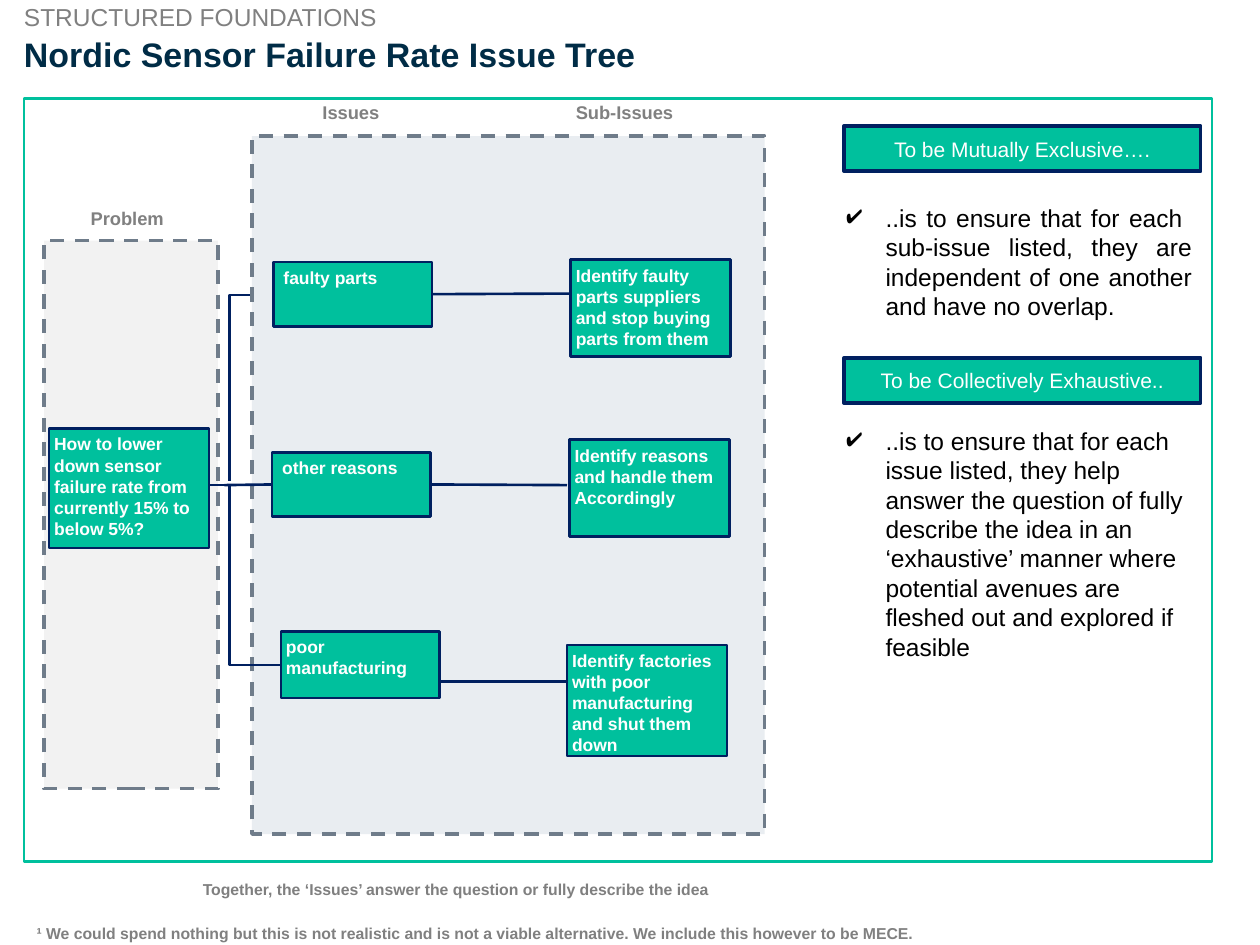
from lxml import etree
from pptx import Presentation
from pptx.dml.color import RGBColor
from pptx.enum import dml, shapes, text
from pptx.oxml import ns
from pptx.util import Inches, Pt

COLORS = {
    "white": "FFFFFF", "black": "000000", "teal": "00C09D", "navy": "002060",
    "title": "002C46", "gray": "808080", "note": "7F7F7F", "dash": "6F7C8A",
    "problem": "F2F2F2", "issues": "E9EDF1",
}
ALIGN = text.PP_ALIGN


def color(name):
    return RGBColor.from_string(COLORS[name])


def write(shape, words, size, tone, bold=False, align=ALIGN.LEFT,
          anchor=text.MSO_ANCHOR.TOP, insets=(0, 0, 0, 0), wrap=True):
    frame = shape.text_frame
    frame.text = words
    frame.word_wrap = wrap
    frame.auto_size = text.MSO_AUTO_SIZE.NONE
    frame.vertical_anchor = anchor
    (frame.margin_left, frame.margin_top,
     frame.margin_right, frame.margin_bottom) = map(Inches, insets)
    for paragraph in frame.paragraphs:
        paragraph.alignment = align
        for run in paragraph.runs:
            run.font.name = "Arial"
            run.font.size = Pt(size)
            run.font.bold = bold
            run.font.color.rgb = color(tone)


def add_label(slide, box, words, size, tone="gray", bold=True):
    label = slide.shapes.add_textbox(*map(Inches, box))
    write(label, words, size, tone, bold, wrap=False)


def add_box(slide, box, fill, line, width, dashed=False):
    rect = slide.shapes.add_shape(shapes.MSO_SHAPE.RECTANGLE, *map(Inches, box))
    rect.shadow.inherit = False
    rect.fill.solid()
    rect.fill.fore_color.rgb = color(fill)
    rect.line.color.rgb = color(line)
    rect.line.width = Pt(width)
    if dashed:
        rect.line.dash_style = dml.MSO_LINE.DASH
    return rect


def add_node(slide, box, words, indent=0.04):
    node = add_box(slide, box, "teal", "navy", 1.5)
    write(node, words, 10, "white", True, insets=(indent, 0.04, 0.04, 0.04))
    return node


def add_link(slide, start, end, bent=False):
    kind = shapes.MSO_CONNECTOR.ELBOW if bent else shapes.MSO_CONNECTOR.STRAIGHT
    link = slide.shapes.add_connector(kind, *map(Inches, start + end))
    link.line.color.rgb = color("navy")
    link.line.width = Pt(1.5)
    properties = link._element.spPr
    if bent:  # a single corner
        properties.find(ns.qn("a:prstGeom")).set("prst", "bentConnector2")
    etree.SubElement(properties, ns.qn("a:effectLst"))
    return link


def add_heading(slide, box):
    left, top, width, height = box
    add_label(slide, (left, top, 2.84, 0.24), "STRUCTURED FOUNDATIONS", 14, bold=False)
    title = slide.shapes.title
    title.left, title.top = Inches(left), Inches(top + 0.24)
    title.width, title.height = Inches(width), Inches(height - 0.24)
    write(title, "Nordic Sensor Failure Rate Issue Tree", 19.4, "title", True,
          anchor=text.MSO_ANCHOR.MIDDLE)


def add_issue_tree(slide, box):
    left, top, width, height = box

    def at(x, y, *size):
        return (left + x, top + y, *size)

    # Problem column, with the upper branch behind the issues panel
    trunk = 1.47
    add_box(slide, at(0, 0.83, 1.38, 4.35), "problem", "dash", 2, True)
    add_link(slide, at(1.82, 1.26), at(trunk, 2.74), bent=True)
    add_node(slide, at(0.04, 2.32, 1.27, 0.95),
             "How to lower down sensor failure rate from currently 15% to below 5%?")
    add_label(slide, at(0.37, 0.56, 0.59, 0.18), "Problem", 10.5)

    # Issues and sub-issues panel
    add_box(slide, at(1.65, 0, width - 1.65, height), "issues", "dash", 2, True)
    add_label(slide, at(2.21, -0.28, 0.46, 0.18), "Issues", 10.5)
    add_label(slide, at(4.22, -0.28, 0.79, 0.18), "Sub-Issues", 10.5)
    add_link(slide, at(1.31, 2.77), at(trunk, 2.77))
    add_link(slide, at(1.88, 4.2), at(trunk, 2.77), bent=True)

    # Rows: issue box, issue text, indent, sub-issue box, sub-issue text
    rows = [
        ((1.82, 1.0, 1.26, 0.51), "faulty parts", 0.08, (4.18, 0.98, 1.27, 0.77),
         "Identify faulty parts suppliers and stop buying parts from them"),
        ((1.81, 2.51, 1.26, 0.51), "other reasons", 0.08, (4.17, 2.41, 1.27, 0.77),
         "Identify reasons and handle them\nAccordingly"),
        ((1.88, 3.93, 1.26, 0.53), "poor manufacturing", 0.04, (4.15, 4.04, 1.27, 0.88),
         "Identify factories with poor manufacturing and shut them down"),
    ]
    issues = []
    for issue_box, issue, indent, sub_box, sub_issue in rows:
        issues.append(add_node(slide, at(*issue_box), issue, indent))
        add_node(slide, at(*sub_box), sub_issue)

    # Links from each issue to its sub-issue
    faulty, other, _ = issues
    add_link(slide, at(3.08, 1.25), at(4.18, 1.25)).begin_connect(faulty, 3)
    add_link(slide, at(3.07, 2.77), at(4.15, 2.77)).begin_connect(other, 3)
    add_link(slide, at(3.14, 4.33), at(4.15, 4.33))
    add_link(slide, at(1.43, 2.77), at(1.81, 2.77)).end_connect(other, 1)


def add_principle(slide, box, heading, words, gap, align):
    left, top, width, height = box
    banner = add_box(slide, (left, top, width, 0.36), "teal", "navy", 2)
    write(banner, heading, 12, "white", align=ALIGN.CENTER,
          anchor=text.MSO_ANCHOR.MIDDLE, insets=(0.1, 0.05, 0.1, 0.05))
    body_top = 0.36 + gap
    body = slide.shapes.add_textbox(*map(Inches, (
        left - 0.08, top + body_top, width + 0.11, height - body_top)))
    write(body, words, 14, "black", align=align, insets=(0.1, 0.05, 0.1, 0.05))
    # Check-mark bullet
    properties = body.text_frame.paragraphs[0]._p.get_or_add_pPr()
    properties.set("marL", str(Inches(0.31)))
    properties.set("indent", str(-Inches(0.31)))
    tint = etree.SubElement(properties, ns.qn("a:buClr"))
    etree.SubElement(tint, ns.qn("a:srgbClr")).set("val", COLORS["black"])
    etree.SubElement(properties, ns.qn("a:buChar")).set("char", "✔")


def add_notes(slide):
    add_label(slide, (1.61, 6.98, 4.76, 0.15),
              "Together, the ‘Issues’ answer the question or fully describe the idea",
              9, "note")
    add_label(slide, (0.29, 7.33, 7.06, 0.15),
              "¹ We could spend nothing but this is not realistic and is not a viable "
              "alternative. We include this however to be MECE.", 9)


def main():
    deck = Presentation()
    deck.slide_width, deck.slide_height = Inches(10), Inches(7.5)
    slide = deck.slides.add_slide(deck.slide_layouts[5])
    add_heading(slide, (0.19, 0.02, 9.62, 0.57))
    add_box(slide, (0.19, 0.78, 9.43, 6.06), "white", "teal", 1.5)
    add_issue_tree(slide, (0.35, 1.08, 5.72, 5.54))
    add_principle(
        slide, (6.7, 1, 2.83, 1.84), "To be Mutually Exclusive….",
        "..is to ensure that for each \vsub-issue listed, they are independent "
        "of one another and have no overlap.", 0.2, ALIGN.JUSTIFY)
    add_principle(
        slide, (6.7, 2.84, 2.83, 2.48), "To be Collectively Exhaustive..",
        "..is to ensure that for each \vissue listed, they help answer the question "
        "of fully describe the idea in an ‘exhaustive’ manner where potential "
        "avenues are fleshed out and explored if feasible", 0.13, ALIGN.LEFT)
    add_notes(slide)
    deck.save("out.pptx")


if __name__ == "__main__":
    main()
